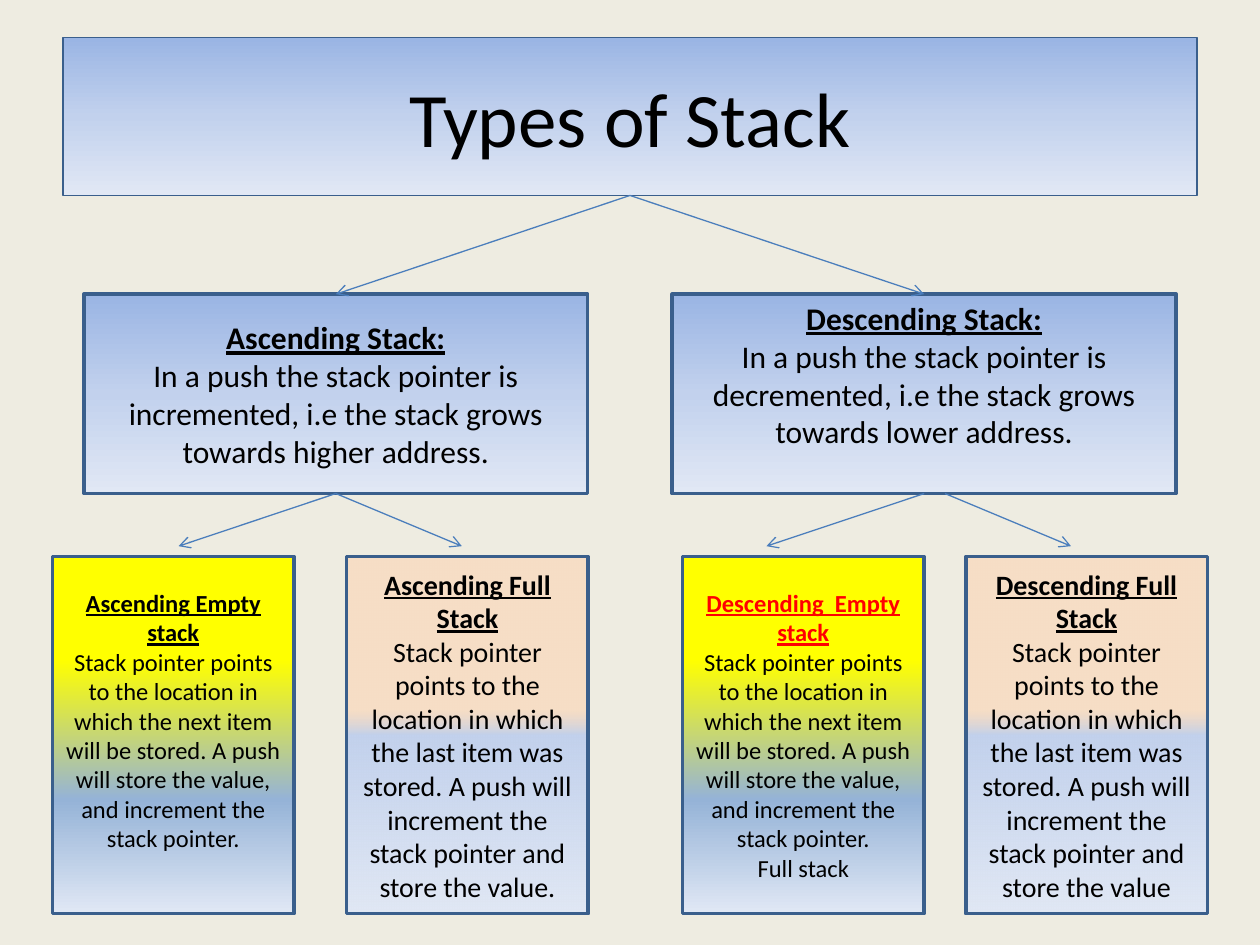
from copy import deepcopy
from dataclasses import dataclass

from lxml import etree
from pptx import Presentation, dml, util as u
from pptx.dml import color
from pptx.enum import shapes, text
from pptx.oxml import ns

Cm, Pt = u.Cm, u.Pt


@dataclass(frozen=True)
class Theme:
    font: str = "Calibri"
    back: str = "EEECE1"
    ink: str = "000000"
    alert: str = "FF0000"
    edge: str = "3A5F8C"
    link: str = "4B7EBC"
    # Gradient stops: position, colour, opacity in percent
    blue: tuple = ((0, "9AB5E4", 100), (50, "C2D1ED", 100), (100, "E1E8F5", 100))
    gold: tuple = ((29, "FFFF00", 100), (68, "95B3D7", 100), (100, "E1E8F5", 100))
    peach: tuple = ((43, "FCD5B5", 62), (50, "C2D1ED", 100), (100, "E1E8F5", 100))
    title: int = 44
    kind: int = 18
    empty: int = 14
    full: int = 16
    thin: float = 0.75
    thick: float = 2


T = Theme()
EMPTY = ("Stack pointer points to the location in which the next item will be "
         "stored. A push will store the value, and increment the stack pointer.")
FULL = ("Stack pointer points to the location in which the last item was stored. "
        "A push will increment the stack pointer and store the value")
HEAD = {"bold": True, "underline": True}


def rgb(code):
    return color.RGBColor.from_string(code)


def shade(box, stops):
    """Fill a box with a top-to-bottom gradient."""
    box.fill.gradient()
    box.fill.gradient_angle = 270
    group = box._element.spPr.find(".//" + ns.qn("a:gsLst"))
    while len(group) < len(stops):
        group.append(deepcopy(group[-1]))
    for stop, node, (place, code, alpha) in zip(box.fill.gradient_stops, group, stops):
        stop.position = place / 100
        stop.color.rgb = rgb(code)
        if alpha < 100:
            etree.SubElement(node[0], ns.qn("a:alpha"), val=str(alpha * 1000))


def write(para, words, size, ink=T.ink, **form):
    para.alignment = text.PP_ALIGN.CENTER
    run = para.add_run()
    run.text = words
    run.font.color.rgb = rgb(ink)
    for name, value in {"name": T.font, "size": Pt(size), **form}.items():
        setattr(run.font, name, value)


def add_box(slide, area, stops, lines, size, weight=T.thick, foot=0.13):
    """Add a box; each line is its words and a dict of format values."""
    box = slide.shapes.add_shape(shapes.MSO_SHAPE.RECTANGLE, *map(Cm, area))
    box.shadow.inherit = False
    shade(box, stops)
    box.line.color.rgb = rgb(T.edge)
    box.line.width = Pt(weight)
    frame = box.text_frame
    frame.word_wrap = True
    frame.vertical_anchor = text.MSO_ANCHOR.MIDDLE
    frame.margin_bottom = Cm(foot)
    for i, (words, form) in enumerate(lines):
        para = frame.add_paragraph() if i else frame.paragraphs[0]
        write(para, words, size, **form)


def add_arrow(slide, start, end):
    line = slide.shapes.add_connector(
        shapes.MSO_CONNECTOR.STRAIGHT, *map(Cm, start + end))
    line.line.color.rgb = rgb(T.link)
    line.line.width = Pt(T.thin)
    etree.SubElement(line.line._get_or_add_ln(), ns.qn("a:tailEnd"), type="arrow")
    etree.SubElement(line._element.spPr, ns.qn("a:effectLst"))


def main():
    deck = Presentation()
    deck.slide_width, deck.slide_height = Cm(25.4), Cm(19.05)
    slide = deck.slides.add_slide(deck.slide_layouts[6])
    slide.background.fill.solid()
    slide.background.fill.fore_color.rgb = rgb(T.back)

    # Title
    add_box(slide, (1.27, 0.76, 22.86, 3.18), T.blue,
            [("Types of Stack", {})], T.title, T.thin)

    # Two kinds of stack; a deeper foot lifts the text
    kinds = [(1.69, "Ascending", "incremented", "higher", 0.13),
             (13.55, "Descending", "decremented", "lower", 0.9)]
    for left, name, change, way, foot in kinds:
        body = (f"In a push the stack pointer is {change}, i.e the stack "
                f"grows towards {way} address.")
        add_box(slide, (left, 5.93, 10.16, 4.02), T.blue,
                [(f"{name} Stack:", HEAD), (body, {})], T.kind, foot=foot)
        add_arrow(slide, (12.7, 3.94), (left + 5.08, 5.93))

    # Empty and full forms of each kind
    leaves = [
        (1.06, T.gold, T.empty, 0.72,
         [("Ascending Empty stack", HEAD), (EMPTY, {})]),
        (6.99, T.peach, T.full, 0.13,
         [("Ascending Full Stack", HEAD), (FULL + ".", {})]),
        (13.76, T.gold, T.empty, 0.13,
         [("Descending  Empty stack", {**HEAD, "ink": T.alert}),
          (EMPTY, {}), ("Full stack", {})]),
        (19.47, T.peach, T.full, 0.13,
         [("Descending Full Stack", HEAD), (FULL, {})]),
    ]
    for left, stops, size, foot, lines in leaves:
        add_box(slide, (left, 11.22, 4.87, 7.2), stops, lines, size, foot=foot)

    # Arrows from kinds to forms
    for start, end in [(6.77, 3.6), (18.63, 15.45), (6.77, 9.31), (19.05, 21.59)]:
        add_arrow(slide, (start, 9.95), (end, 11.01))

    deck.save("out.pptx")


if __name__ == "__main__":
    main()
